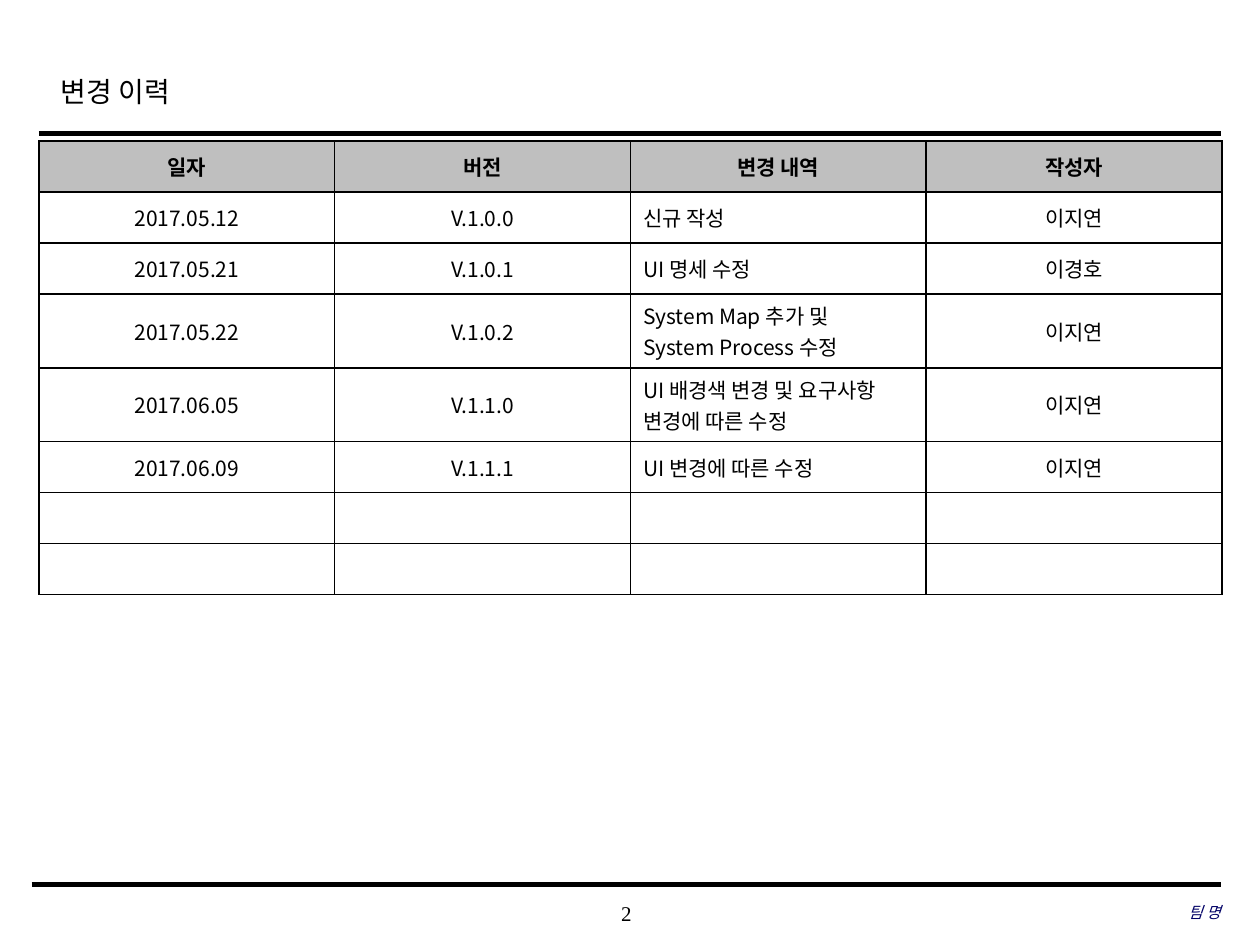
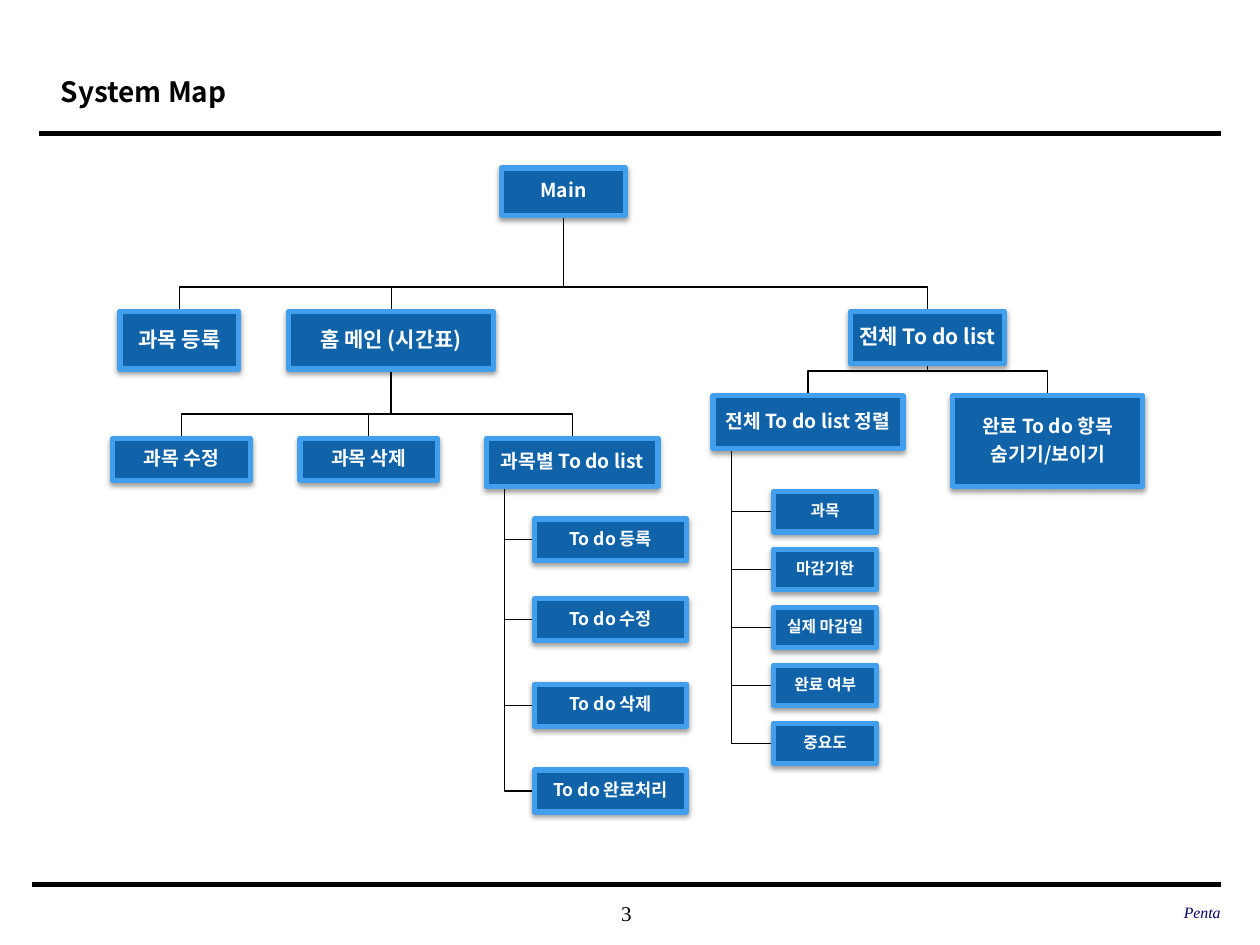
"""Build the change history and system map slides."""
import lxml.etree
import pptx
import pptx.dml.color
import pptx.enum.shapes
import pptx.enum.text
import pptx.oxml.ns
import pptx.util

Pt = pptx.util.Pt
ALIGN = pptx.enum.text.PP_ALIGN
MIDDLE = pptx.enum.text.MSO_ANCHOR.MIDDLE
SERIF, SANS = "Times New Roman", "Noto Sans CJK KR"
COLORS = {"ink": "000000", "paper": "FFFFFF", "header": "BFBFBF",
          "team": "000066", "node": "1063A8", "edge": "419FED"}
PAGE_BOX = (0, 0, 720, 540)
TABLE_BOX = (22.3, 80.6, 676, 259.4)
MAP_BOX = (60, 90, 600, 380)
TITLE_FORMAT = {"size": Pt(16), "name": SERIF, "bold": False}
NUMBER_FORMAT = {"size": Pt(12), "name": SERIF}
TEAM_FORMAT = {"size": Pt(9), "name": SERIF, "italic": True}
CELL_FORMAT = {"size": Pt(12), "name": SANS, "bold": False}
NODE_FORMAT = {"name": SANS, "bold": True}

HISTORY = [
    ("일자", "버전", "변경 내역", "작성자"),
    ("2017.05.12", "V.1.0.0", "신규 작성", "이지연"),
    ("2017.05.21", "V.1.0.1", "UI 명세 수정", "이경호"),
    ("2017.05.22", "V.1.0.2", "System Map 추가 및\nSystem Process 수정", "이지연"),
    ("2017.06.05", "V.1.1.0", "UI 배경색 변경 및 요구사항 변경에 따른 수정", "이지연"),
    ("2017.06.09", "V.1.1.1", "UI 변경에 따른 수정", "이지연"),
    ("",) * 4,
    ("",) * 4,
]
TWO_LINE_ROWS, TWO_LINE_HEIGHT = (3, 4), 42.2

NODES = {
    "Main": (226.5, 6, 71, 27, 11),
    "과목 등록": (8.5, 88, 68, 33, 12),
    "홈 메인 (시간표)": (105, 88, 117, 33, 12),
    "전체 To do list": (426, 88, 88, 30, 12),
    "과목 수정": (4.5, 160.5, 78.5, 24, 11),
    "과목 삭제": (111.5, 160.5, 78.5, 24, 11),
    "과목별 To do list": (218, 160.5, 98, 27.5, 11),
    "전체 To do list 정렬": (347.5, 136, 108.5, 30.5, 11),
    "완료 To do 항목\n숨기기/보이기": (484.5, 136, 108.5, 52, 11),
}
TODO_TOPS = {"To do 등록": 206.5, "To do 수정": 252, "To do 삭제": 301,
             "To do 완료처리": 350}
SORT_KEYS = ["과목", "마감기한", "실제 마감일", "완료 여부", "중요도"]
NODES.update({name: (245.5, top, 87, 24, 10) for name, top in TODO_TOPS.items()})
NODES.update({name: (382, 191 + 33.1 * index, 59, 23, 9)
              for index, name in enumerate(SORT_KEYS)})
BRANCHES_BELOW = {
    "Main": ["과목 등록", "홈 메인 (시간표)", "전체 To do list"],
    "홈 메인 (시간표)": ["과목 수정", "과목 삭제", "과목별 To do list"],
    "전체 To do list": ["전체 To do list 정렬", "완료 To do 항목\n숨기기/보이기"],
}
BRANCHES_BESIDE = {"과목별 To do list": TODO_TOPS, "전체 To do list 정렬": SORT_KEYS}
BUS_GAP, TRUNK_INDENT = 14, 10.5


def rgb(name):
    """Return the named colour."""
    return pptx.dml.color.RGBColor.from_string(COLORS[name])


def set_values(target, values):
    """Set each attribute of the target from a dict."""
    for name, value in values.items():
        setattr(target, name, value)


def add_xml(parent, tag, **attributes):
    """Append a drawing element to the parent."""
    return lxml.etree.SubElement(parent, pptx.oxml.ns.qn(tag), attributes)


def write(frame, text, font_values, color, paragraph_values):
    """Write formatted paragraphs, one for each line of text."""
    for index, line in enumerate(text.split("\n")):
        paragraph = frame.add_paragraph() if index else frame.paragraphs[0]
        set_values(paragraph, paragraph_values)
        run = paragraph.add_run()
        run.text = line
        set_values(run.font, font_values)
        run.font.color.rgb = rgb(color)
        add_xml(run.font._element, "a:ea", typeface=SANS)


def set_margins(frame, margin):
    """Give the frame equal margins, wrapping and a middle anchor."""
    sides = ("left", "top", "right", "bottom")
    set_values(frame, {f"margin_{side}": Pt(margin) for side in sides})
    set_values(frame, {"word_wrap": True, "vertical_anchor": MIDDLE})


def add_rule(slide, left, right, top, weight):
    """Draw a horizontal rule."""
    rule = slide.shapes.add_connector(pptx.enum.shapes.MSO_CONNECTOR.STRAIGHT,
                                      Pt(left), Pt(top), Pt(right), Pt(top))
    rule.line.color.rgb = rgb("ink")
    rule.line.width = Pt(weight)
    add_xml(rule._element.spPr, "a:effectLst")


def add_label(slide, box, text, font_values, color, alignment):
    """Place one line of footer text in the box."""
    frame = slide.shapes.add_textbox(*map(Pt, box)).text_frame
    set_margins(frame, 0)
    write(frame, text, font_values, color, {"alignment": alignment})


def add_page(presentation, box, title, title_format, number, team):
    """Add a slide with its title, rules and footer."""
    left, top, width, height = box
    right, bottom = left + width, top + height
    slide = presentation.slides.add_slide(presentation.slide_layouts[5])
    add_rule(slide, left + 22.3, right - 22.3, top + 76.3, 2.5)
    add_rule(slide, left + 18, right - 22.3, bottom - 34.6, 3)
    shape = slide.shapes.title
    set_values(shape, {"left": Pt(left + 27.6), "top": Pt(top + 32.4),
                       "width": Pt(543.6), "height": Pt(36)})
    set_values(shape.text_frame, {"auto_size": pptx.enum.text.MSO_AUTO_SIZE.NONE,
                                  "vertical_anchor": MIDDLE})
    write(shape.text_frame, title, title_format, "ink",
          {"alignment": ALIGN.LEFT, "line_spacing": 1.2})
    add_label(slide, (left + 283, bottom - 30, 150, 24), number,
              NUMBER_FORMAT, "ink", ALIGN.CENTER)
    add_label(slide, (right - 242.5, bottom - 31, 220, 24), team,
              TEAM_FORMAT, "team", ALIGN.RIGHT)
    return slide


def add_borders(cell):
    """Draw thin black borders before the fill of the cell."""
    properties = cell._tc.get_or_add_tcPr()
    for side in ("L", "R", "T", "B"):
        border = add_xml(properties, f"a:ln{side}", w=str(Pt(1)))
        fill = add_xml(border, "a:solidFill")
        add_xml(fill, "a:srgbClr", val=COLORS["ink"])


def add_history(slide, box):
    """Fill the box with the change history table."""
    rows, columns = len(HISTORY), len(HISTORY[0])
    table = slide.shapes.add_table(rows, columns, *map(Pt, box)).table
    tall_rows = len(TWO_LINE_ROWS)
    row_height = (box[3] - tall_rows * TWO_LINE_HEIGHT) / (rows - tall_rows)
    for row_index, texts in enumerate(HISTORY):
        tall = row_index in TWO_LINE_ROWS
        table.rows[row_index].height = Pt(TWO_LINE_HEIGHT if tall else row_height)
        for column_index, text in enumerate(texts):
            cell = table.cell(row_index, column_index)
            header = row_index == 0
            add_borders(cell)
            cell.fill.solid()
            cell.fill.fore_color.rgb = rgb("header" if header else "paper")
            cell.vertical_anchor = MIDDLE
            is_note = column_index == 2 and not header
            write(cell.text_frame, text, {**CELL_FORMAT, "bold": header}, "ink",
                  {"alignment": ALIGN.LEFT if is_note else ALIGN.CENTER})


def add_branch(slide, box, points):
    """Draw an angled line through points relative to the box."""
    corners = [(Pt(box[0] + x), Pt(box[1] + y)) for x, y in points]
    builder = slide.shapes.build_freeform(*corners[0])
    builder.add_line_segments(corners[1:], close=False)
    branch = builder.convert_to_shape()
    branch.shadow.inherit = False
    branch.fill.background()
    branch.line.color.rgb = rgb("ink")
    branch.line.width = Pt(0.75)


def add_node(slide, box, text):
    """Draw a labelled node relative to the box."""
    left, top, width, height, size = NODES[text]
    node = slide.shapes.add_shape(
        pptx.enum.shapes.MSO_SHAPE.RECTANGLE, Pt(box[0] + left),
        Pt(box[1] + top), Pt(width), Pt(height))
    node.fill.solid()
    node.fill.fore_color.rgb = rgb("node")
    node.line.color.rgb = rgb("edge")
    node.line.width = Pt(3)
    node.shadow.inherit = False
    effects = node._element.spPr.find(pptx.oxml.ns.qn("a:effectLst"))
    shadow = add_xml(effects, "a:outerShdw", blurRad=str(Pt(3.1)),
                     dist=str(Pt(1.6)), dir="5400000", rotWithShape="0")
    color = add_xml(shadow, "a:srgbClr", val=COLORS["ink"])
    add_xml(color, "a:alpha", val="38000")
    set_margins(node.text_frame, 0.72)
    write(node.text_frame, text, {**NODE_FORMAT, "size": Pt(size)}, "paper",
          {"alignment": ALIGN.CENTER, "line_spacing": 0.9, "space_after": Pt(4)})


def add_map(slide, box):
    """Draw the system map in the box, branches behind nodes."""
    for parent, children in BRANCHES_BELOW.items():
        left, top, width, height, _ = NODES[parent]
        start = left + width / 2
        for child in children:
            child_left, child_top, child_width, _, _ = NODES[child]
            end, bus = child_left + child_width / 2, child_top - BUS_GAP
            add_branch(slide, box, [(start, top + height), (start, bus),
                                    (end, bus), (end, child_top)])
    for parent, children in BRANCHES_BESIDE.items():
        left, top, _, height, _ = NODES[parent]
        trunk = left + TRUNK_INDENT
        for child in children:
            child_left, child_top, _, child_height, _ = NODES[child]
            middle = child_top + child_height / 2
            add_branch(slide, box, [(trunk, top + height), (trunk, middle),
                                    (child_left, middle)])
    for text in NODES:
        add_node(slide, box, text)


def main():
    """Build and save the presentation."""
    presentation = pptx.Presentation()
    set_values(presentation, {"slide_width": Pt(PAGE_BOX[2]),
                              "slide_height": Pt(PAGE_BOX[3])})
    history = add_page(presentation, PAGE_BOX, "변경 이력", TITLE_FORMAT, "2", "팀 명")
    add_history(history, TABLE_BOX)
    map_title = {**TITLE_FORMAT, "name": SANS, "bold": True}
    system_map = add_page(presentation, PAGE_BOX, "System Map", map_title, "3", "Penta")
    add_map(system_map, MAP_BOX)
    presentation.save("out.pptx")


if __name__ == "__main__":
    main()
